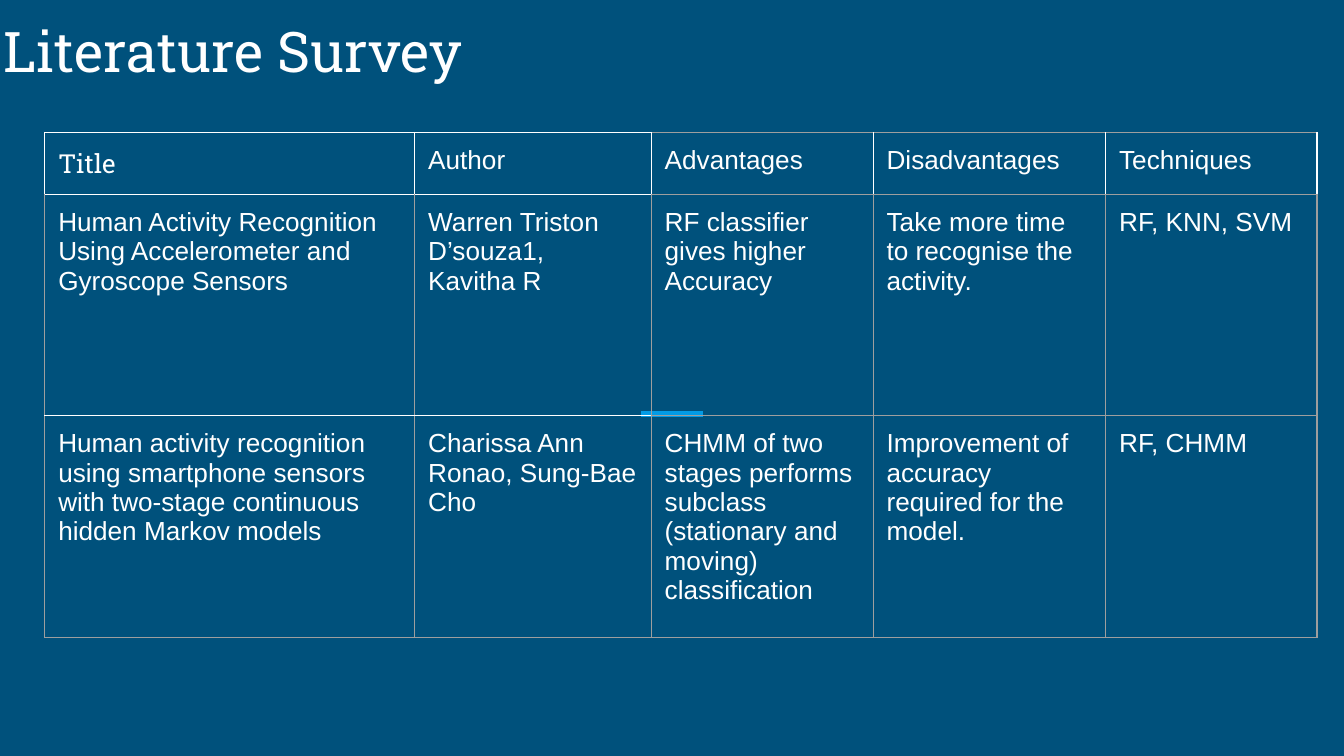
"""Build the Literature Survey slide with its comparison table."""
import lxml.etree
import pptx
import pptx.dml.color
import pptx.enum.shapes
import pptx.enum.text
import pptx.oxml.ns
import pptx.util

Pt = pptx.util.Pt
qn = pptx.oxml.ns.qn
WHITE, GRAY = "FFFFFF", "9E9E9E"
MARGINS = {
    "margin_left": Pt(7.2),
    "margin_right": Pt(7.2),
    "margin_top": Pt(7.2),
    "margin_bottom": Pt(7.2),
}


def color(value):
    return pptx.dml.color.RGBColor.from_string(value)


def write(paragraph, text, name, size):
    run = paragraph.add_run()
    run.text = text
    for key, value in {"name": name, "size": Pt(size), "bold": False}.items():
        setattr(run.font, key, value)
    run.font.color.rgb = color(WHITE)


presentation = pptx.Presentation()
presentation.slide_width = Pt(720)
presentation.slide_height = Pt(405)
slide = presentation.slides.add_slide(presentation.slide_layouts[6])
slide.background.fill.solid()
slide.background.fill.fore_color.rgb = color("00517C")

accent = slide.shapes.add_connector(
    pptx.enum.shapes.MSO_CONNECTOR.STRAIGHT, Pt(343.5), Pt(221.8), Pt(376.5), Pt(221.8)
)
accent.line.color.rgb = color("039BE5")
accent.line.width = Pt(3)
lxml.etree.SubElement(accent.element.spPr, qn("a:effectLst"))

title = slide.shapes.add_textbox(Pt(-5), Pt(0), Pt(647.3), Pt(51.8))
title_format = {
    **MARGINS,
    "word_wrap": True,
    "vertical_anchor": pptx.enum.text.MSO_ANCHOR.BOTTOM,
}
for key, value in title_format.items():
    setattr(title.text_frame, key, value)
write(title.text_frame.paragraphs[0], "Literature Survey", "Roboto Slab", 30)

rows = [
    ["Title", "Author", "Advantages", "Disadvantages", "Techniques"],
    [
        "Human Activity Recognition Using Accelerometer and Gyroscope Sensors",
        "Warren Triston D’souza1, Kavitha R",
        "RF classifier gives higher Accuracy",
        "Take more time to recognise the activity.",
        "RF, KNN, SVM",
    ],
    [
        "Human activity recognition using smartphone sensors with two-stage continuous hidden Markov models",
        "Charissa Ann Ronao, Sung-Bae Cho",
        "CHMM of two stages performs subclass (stationary and moving) classification",
        "Improvement of accuracy required for the model.",
        "RF, CHMM",
    ],
]
column_widths = [198.2, 126.7, 118.9, 124.6, 113.2]
row_heights = [33, 118.7, 118.7]

table = slide.shapes.add_table(
    len(rows), len(column_widths), Pt(24), Pt(71), Pt(sum(column_widths)), Pt(sum(row_heights))
).table
table.first_row = False
table.horz_banding = False
for column, width in zip(table.columns, column_widths):
    column.width = Pt(width)
for row, height in zip(table.rows, row_heights):
    row.height = Pt(height)

for row_index, texts in enumerate(rows):
    for column_index, text in enumerate(texts):
        cell = table.cell(row_index, column_index)
        for key, value in MARGINS.items():
            setattr(cell, key, value)
        name = "Roboto Slab" if text == "Title" else "Arial"
        write(cell.text_frame.paragraphs[0], text, name, 14)

        side = WHITE if row_index == 0 else GRAY
        top = WHITE if column_index < 2 else GRAY
        bottom = GRAY if row_index == len(rows) - 1 else top
        borders = {"a:lnL": side, "a:lnR": side, "a:lnT": top, "a:lnB": bottom}
        properties = cell._tc.get_or_add_tcPr()
        for tag, value in borders.items():
            line = lxml.etree.SubElement(properties, qn(tag), w=str(Pt(0.75)))
            fill = lxml.etree.SubElement(line, qn("a:solidFill"))
            lxml.etree.SubElement(fill, qn("a:srgbClr"), val=value)
        cell.fill.background()

presentation.save("out.pptx")
